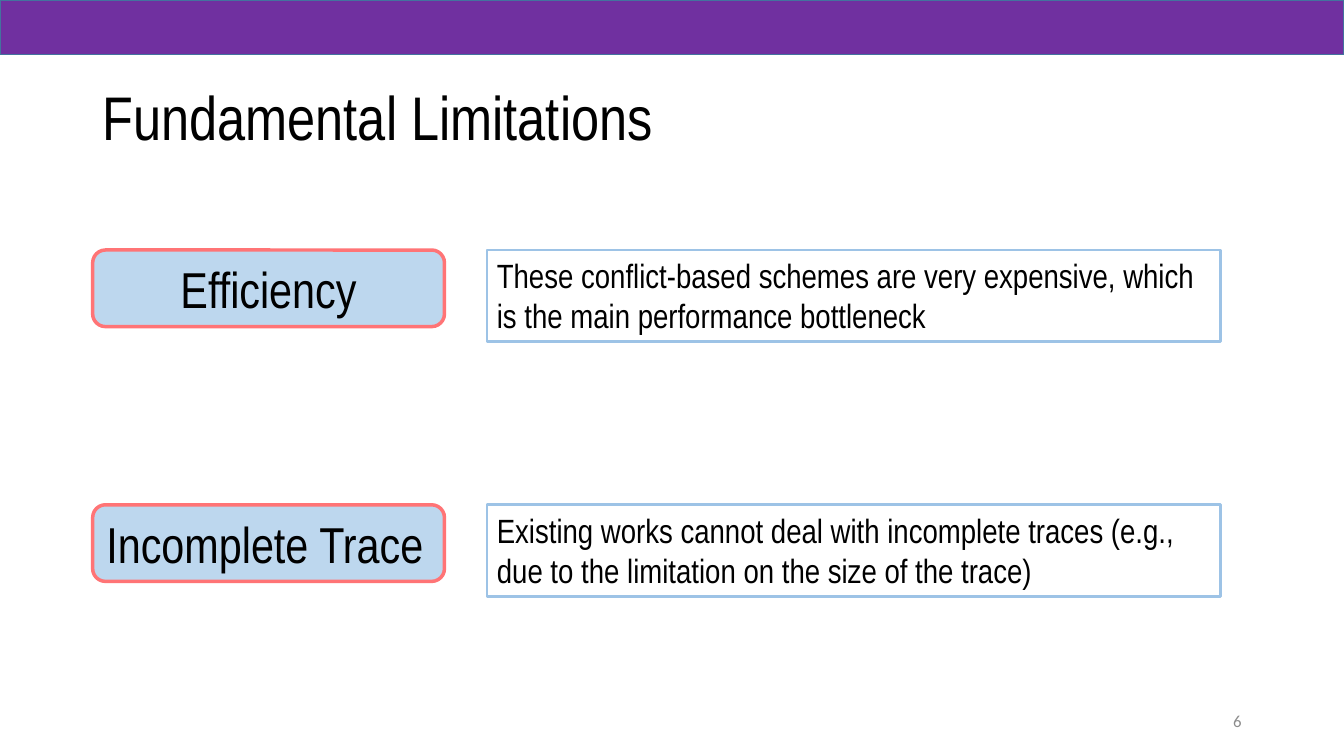
from pptx import Presentation
from pptx.dml.color import RGBColor
from pptx.enum.shapes import MSO_SHAPE as SHAPE
from pptx.enum.text import MSO_ANCHOR as ANCHOR, MSO_AUTO_SIZE as FIT, PP_ALIGN as ALIGN
from pptx.util import Pt

TITLE = "Fundamental Limitations"
PAGE = "6"
LIMITATIONS = [
    ("Efficiency", ALIGN.CENTER,
     "These conflict-based schemes are very expensive, which is the main performance bottleneck"),
    ("Incomplete Trace", ALIGN.LEFT,
     "Existing works cannot deal with incomplete traces (e.g., due to the limitation on the size of the trace)"),
]
WIDTH, HEIGHT = 960, 540
LEFT, TOP, PITCH = 66.2, 178.6, 182
TAG_W, TAG_H = 251.3, 54.7
NOTE_LEFT, NOTE_W, NOTE_H = 347.8, 524.2, 65.5
FONT = "Arial Narrow"


def color(value):
    return RGBColor.from_string(value)


def add_box(s, kind, box, line, weight, fill=None):
    sp = s.shapes.add_shape(kind, *map(Pt, box))
    sp.shadow.inherit = False
    if fill:
        sp.fill.solid()
        sp.fill.fore_color.rgb = color(fill)
    else:
        sp.fill.background()
    sp.line.color.rgb = color(line)
    sp.line.width = Pt(weight)
    return sp


def write(sp, text, size, align=ALIGN.LEFT, anchor=ANCHOR.MIDDLE, font=FONT, ink="000000"):
    tf = sp.text_frame
    tf.word_wrap = True
    tf.vertical_anchor = anchor
    tf.text = text
    p = tf.paragraphs[0]
    p.alignment = align
    r = p.runs[0]
    r.font.name = font
    r.font.size = Pt(size)
    r.font.color.rgb = color(ink)
    return tf


def main():
    prs = Presentation()
    prs.slide_width, prs.slide_height = Pt(WIDTH), Pt(HEIGHT)
    s = prs.slides.add_slide(prs.slide_layouts[6])

    title = s.shapes.add_textbox(Pt(LEFT), Pt(39.6), Pt(828), Pt(93.6))
    write(title, TITLE, 44).paragraphs[0].line_spacing = 0.9
    add_box(s, SHAPE.RECTANGLE, (0, 0, WIDTH, 39), "43739E", 1, "7030A0")
    page = s.shapes.add_textbox(Pt(678), Pt(500.5), Pt(216), Pt(28.8))
    write(page, PAGE, 12, ALIGN.RIGHT, font="Calibri", ink="8C8C8C")

    for i, (name, align, detail) in enumerate(LIMITATIONS):
        y = TOP + i * PITCH
        tag = add_box(s, SHAPE.ROUNDED_RECTANGLE, (LEFT, y, TAG_W, TAG_H), "FF7476", 2.5, "BDD7EE")
        write(tag, name, 36, align)
        note = add_box(s, SHAPE.RECTANGLE, (NOTE_LEFT, y, NOTE_W, NOTE_H), "9DC3E6", 2)
        write(note, detail, 24, anchor=ANCHOR.TOP).auto_size = FIT.SHAPE_TO_FIT_TEXT

    prs.save("out.pptx")


if __name__ == "__main__":
    main()
